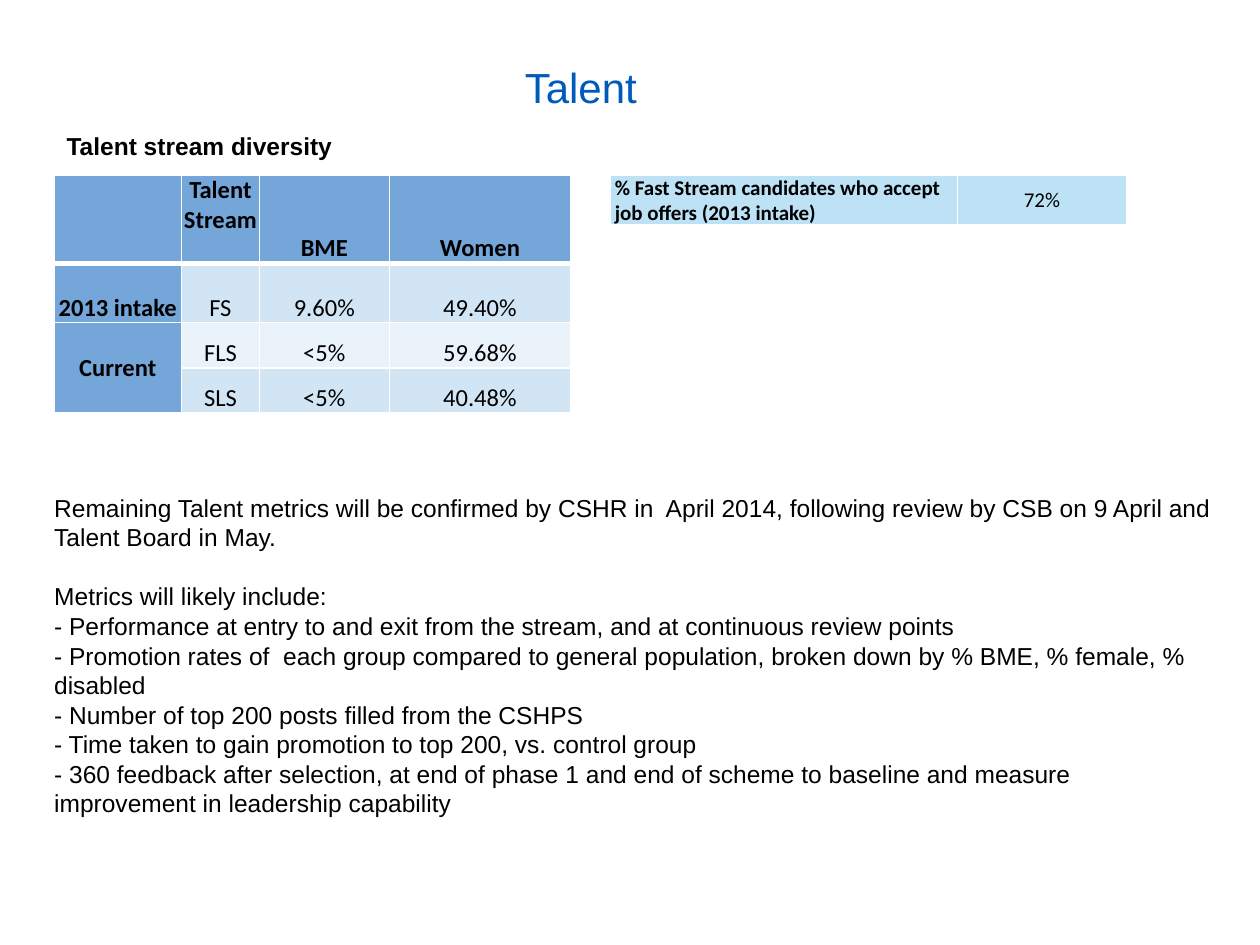
from lxml import etree
from pptx import Presentation
from pptx.dml.color import RGBColor
from pptx.enum.text import MSO_ANCHOR, PP_ALIGN
from pptx.oxml.ns import qn
from pptx.util import Inches, Pt

LEFT, CENTER = PP_ALIGN.LEFT, PP_ALIGN.CENTER
TOP, MIDDLE, BOTTOM = MSO_ANCHOR.TOP, MSO_ANCHOR.MIDDLE, MSO_ANCHOR.BOTTOM

THEME = {
    "heading_font": "Arial", "table_font": "Calibri",
    "title": "005ABB", "text": "000000", "border": "FFFFFF",
    "header": "75A6D9", "band_dark": "D2E5F5", "band_light": "EAF2FA",
    "offer": "BDE1F5",
    "title_size": 24, "body_size": 14, "offer_size": 12, "line_pitch": 16.9,
}

# Page grid, in inches
LEFT_EDGE, RIGHT_TABLE, TABLE_TOP = 0.43, 4.84, 1.39
STREAM_COLUMNS, STREAM_ROWS = [1.01, 0.62, 1.03, 1.44], [0.7, 0.47, 0.36, 0.36]
OFFER_COLUMNS, OFFER_ROWS = [2.76, 1.34], [0.38]


def set_font(paragraph, size, color="text", bold=False, face="heading_font"):
    font = paragraph.font
    font.name, font.size, font.bold = THEME[face], Pt(size), bold
    font.color.rgb = RGBColor.from_string(THEME[color])


def add_plain_table(left, columns, rows, side_margin):
    """Add an unbanded table with white borders, thicker under its first row."""
    table = slide.shapes.add_table(
        len(rows), len(columns), Inches(left), Inches(TABLE_TOP),
        Inches(sum(columns)), Inches(sum(rows))).table
    table.first_row = table.horz_banding = False
    for column, width in zip(table.columns, columns):
        column.width = Inches(width)
    for r, height in enumerate(rows):
        table.rows[r].height = Inches(height)
        for cell in table.rows[r].cells:
            cell.margin_top = cell.margin_bottom = 0
            cell.margin_left = cell.margin_right = Inches(side_margin)
            properties = cell._tc.get_or_add_tcPr()
            for side in ("lnL", "lnR", "lnT", "lnB"):
                thick = (r, side) in ((0, "lnB"), (1, "lnT"))
                line = etree.SubElement(properties, qn(f"a:{side}"),
                                        w=str(Pt(3 if thick else 1)))
                fill = etree.SubElement(line, qn("a:solidFill"))
                etree.SubElement(fill, qn("a:srgbClr"), val=THEME["border"])
    return table


prs = Presentation()
prs.slide_width, prs.slide_height = Inches(10), Inches(7.5)
slide = prs.slides.add_slide(prs.slide_layouts[6])

# Talent stream table
stream_data = [
    ["", "Talent Stream", "BME", "Women"],
    ["2013 intake", "FS", "9.60%", "49.40%"],
    ["Current", "FLS", "<5%", "59.68%"],
    ["", "SLS", "<5%", "40.48%"],
]
row_fills = ["header", "band_dark", "band_light", "band_dark"]
stream_table = add_plain_table(LEFT_EDGE, STREAM_COLUMNS, STREAM_ROWS, 0)
for r, values in enumerate(stream_data):
    for c, value in enumerate(values):
        is_header = r == 0 or c == 0
        cell = stream_table.cell(r, c)
        cell.text = value
        cell.vertical_anchor = BOTTOM
        cell.fill.solid()
        cell.fill.fore_color.rgb = RGBColor.from_string(
            THEME["header" if is_header else row_fills[r]])
        paragraph = cell.text_frame.paragraphs[0]
        paragraph.alignment = CENTER
        set_font(paragraph, THEME["body_size"], bold=is_header, face="table_font")
stream_table.cell(0, 1).vertical_anchor = TOP
current_label = stream_table.cell(2, 0)
current_label.merge(stream_table.cell(3, 0))
current_label.vertical_anchor = MIDDLE

# Fast Stream offers table
offer_data = [
    ("% Fast Stream candidates who accept job offers (2013 intake)", LEFT, True),
    ("72%", CENTER, False),
]
offer_table = add_plain_table(RIGHT_TABLE, OFFER_COLUMNS, OFFER_ROWS, 0.04)
for c, (value, alignment, bold) in enumerate(offer_data):
    cell = offer_table.cell(0, c)
    cell.text = value
    cell.vertical_anchor = MIDDLE
    cell.fill.solid()
    cell.fill.fore_color.rgb = RGBColor.from_string(THEME["offer"])
    paragraph = cell.text_frame.paragraphs[0]
    paragraph.alignment = alignment
    set_font(paragraph, THEME["offer_size"], bold=bold, face="table_font")

# Title and table heading
headings = [
    ("Talent", (2.01, 0.44, 5.2, 0.51), "title_size", "title", False, CENTER),
    ("Talent stream diversity", (LEFT_EDGE, 0.99, 3.86, 0.34),
     "body_size", "text", True, LEFT),
]
for text, box, size, color, bold, alignment in headings:
    frame = slide.shapes.add_textbox(*map(Inches, box)).text_frame
    frame.word_wrap = True
    frame.text = text
    frame.paragraphs[0].alignment = alignment
    set_font(frame.paragraphs[0], THEME[size], color, bold)

# Planned metrics
metrics_text = [
    "Remaining Talent metrics will be confirmed by CSHR in  April 2014, "
    "following review by CSB on 9 April and Talent Board in May.",
    "Metrics will likely include:",
    "- Performance at entry to and exit from the stream, and at continuous review points",
    "- Promotion rates of  each group compared to general population, "
    "broken down by % BME, % female, % disabled",
    "- Number of top 200 posts filled from the CSHPS",
    "- Time taken to gain promotion to top 200, vs. control group",
    "- 360 feedback after selection, at end of phase 1 and end of scheme "
    "to baseline and measure improvement in leadership capability",
]
frame = slide.shapes.add_textbox(
    *map(Inches, (LEFT_EDGE, 3.91, 9.21, 3.07))).text_frame
frame.word_wrap = True
frame.margin_left = frame.margin_right = frame.margin_top = frame.margin_bottom = 0
frame.text = "\n".join(metrics_text)
for paragraph in frame.paragraphs:
    paragraph.line_spacing = Pt(THEME["line_pitch"])
    set_font(paragraph, THEME["body_size"])
frame.paragraphs[1].space_before = Pt(THEME["line_pitch"])

prs.save("out.pptx")
